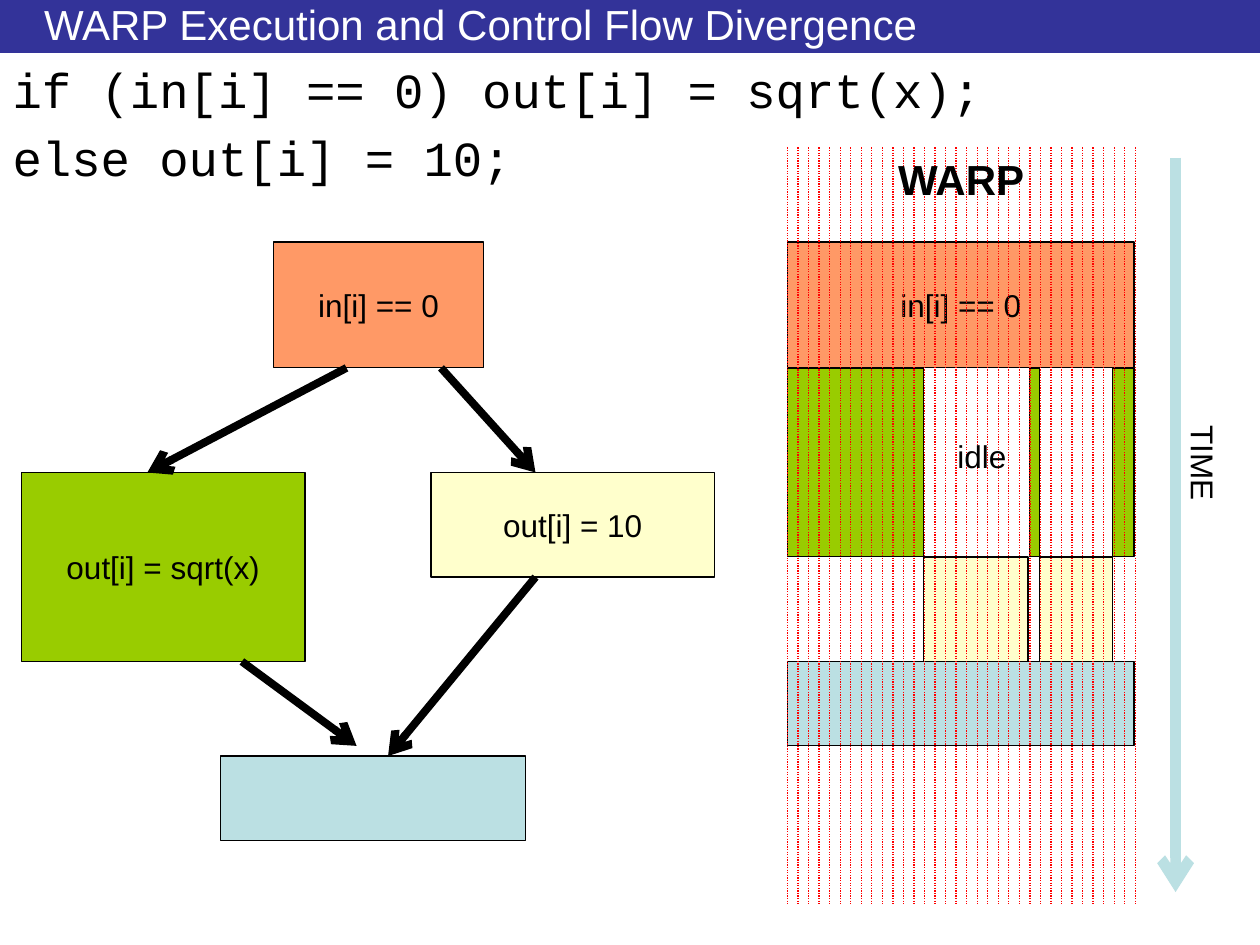
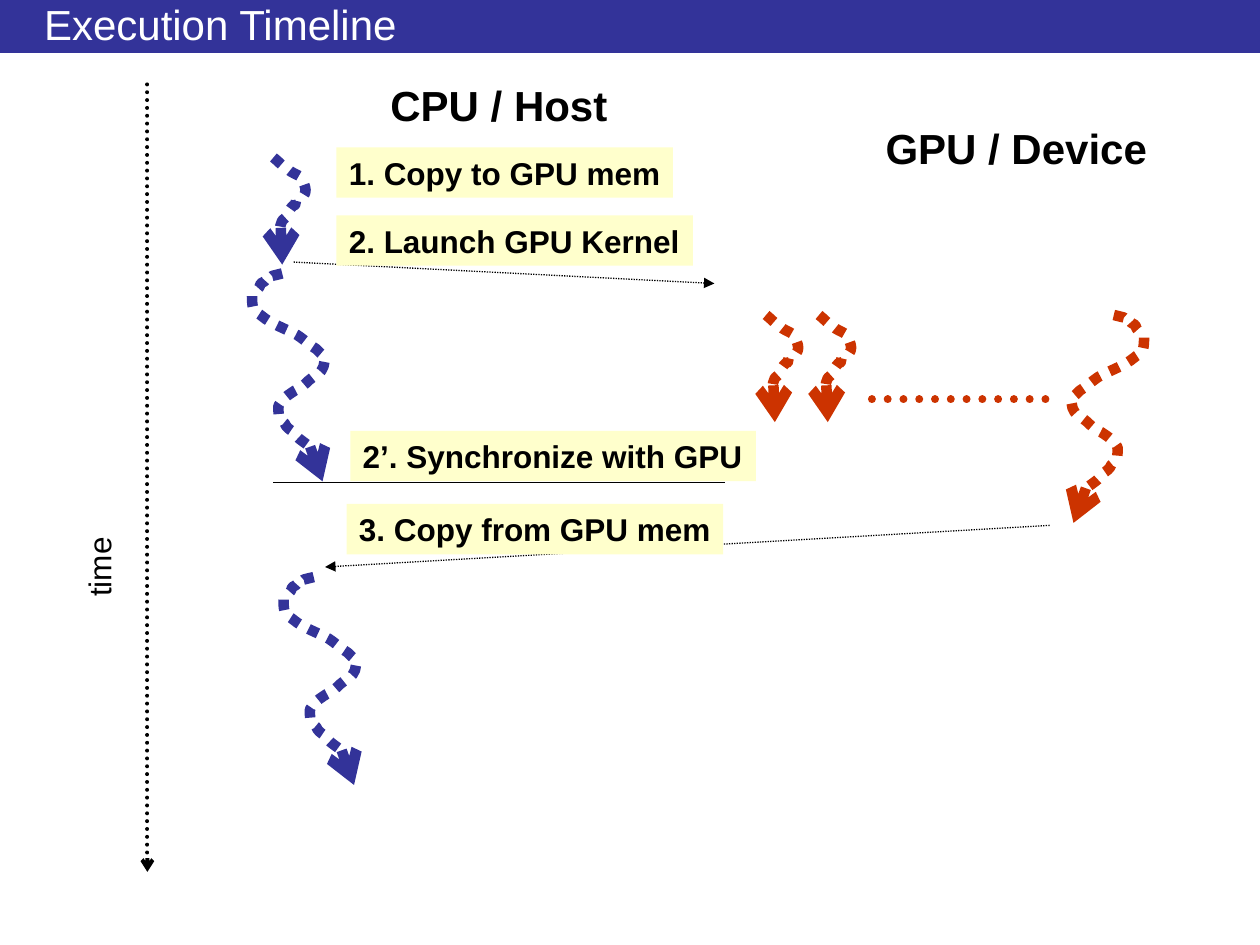
from lxml.etree import SubElement
from pptx import Presentation
from pptx.dml.color import RGBColor
from pptx.enum.dml import MSO_LINE
from pptx.enum.shapes import MSO_CONNECTOR, MSO_SHAPE
from pptx.enum.text import MSO_ANCHOR, MSO_AUTO_SIZE, PP_ALIGN
from pptx.oxml.ns import qn
from pptx.util import Inches, Pt

NAVY = RGBColor(0x33, 0x33, 0x99)
WHITE = RGBColor(0xFF, 0xFF, 0xFF)
BLACK = RGBColor(0, 0, 0)
ORANGE = RGBColor(0xFF, 0x99, 0x66)
GREEN = RGBColor(0x99, 0xCC, 0x00)
CREAM = RGBColor(0xFF, 0xFF, 0xCC)
ICE = RGBColor(0xBB, 0xE0, 0xE3)
RED = RGBColor(0xFF, 0, 0)
RUST = RGBColor(0xCC, 0x33, 0x00)
SANS, MONO = "Arial", "Courier New"

CODE = ["if (in[i] == 0) out[i] = sqrt(x);", "else out[i] = 10;"]

# (left, top, width, height), fill, text
FLOW_BOXES = [
    ((2.17, 1.92, 1.67, 1), ORANGE, "in[i] == 0"),
    ((0.17, 3.75, 2.25, 1.5), GREEN, "out[i] = sqrt(x)"),
    ((3.42, 3.75, 2.25, 0.83), CREAM, "out[i] = 10"),
    ((1.75, 6, 2.42, 0.67), ICE, ""),
]
FLOW_ARROWS = [
    ((2.75, 2.92), (1.17, 3.75)),
    ((3.5, 2.92), (4.25, 3.75)),
    ((1.92, 5.25), (2.83, 5.92)),
    ((4.25, 4.58), (3.08, 6)),
]

# Each row of the warp: top, height, fill, text, spans of (left, right)
WARP_LEFT, WARP_RIGHT = 6.25, 9
WARP_ROWS = [
    (1.92, 1, ORANGE, "in[i] == 0", [(WARP_LEFT, WARP_RIGHT)]),
    (2.92, 1.5, GREEN, "", [(WARP_LEFT, 7.33), (8.17, 8.25), (8.83, WARP_RIGHT)]),
    (4.42, 0.83, CREAM, "", [(7.33, 8.16), (8.25, 8.83)]),
    (5.25, 0.67, ICE, "", [(WARP_LEFT, WARP_RIGHT)]),
]
THREAD_COUNT, THREADS_END = 34, 9.01

# Box, text, size, bold, rotation, fill
WARP_LABELS = [
    ((7.5, 3.42, 0.59, 0.4), "idle", 18, False, 0, None),
    ((7.03, 1.17, 1.22, 0.5), "WARP", 24, True, 0, None),
    ((9.15, 3.48, 0.8, 0.4), "TIME", 18, False, 90, None),
]
TIMELINE_LABELS = [
    ((0.45, 4.3, 0.67, 0.4), "time", 18, False, 270, None),
    ((3, 0.58, 1.92, 0.5), "CPU / Host", 24, True, 0, None),
    ((6.93, 0.92, 2.28, 0.5), "GPU / Device", 24, True, 0, None),
    ((2.67, 1.17, 2.67, 0.4), "1. Copy to GPU mem", 18, True, 0, CREAM),
    ((2.67, 1.71, 2.83, 0.4), "2. Launch GPU Kernel", 18, True, 0, CREAM),
    ((2.78, 3.42, 3.22, 0.4), "2’. Synchronize with GPU", 18, True, 0, CREAM),
    ((2.75, 4, 2.99, 0.4), "3. Copy from GPU mem", 18, True, 0, CREAM),
]

# Bézier points from the top left of each squiggle: a start, then three per curve
SHORT_THREAD = [
    (0, 0),
    (0.04, 0.03), (0.07, 0.07), (0.11, 0.09),
    (0.14, 0.12), (0.18, 0.13), (0.21, 0.15),
    (0.26, 0.23), (0.29, 0.3), (0.18, 0.34),
    (0.16, 0.42), (0.19, 0.34), (0.14, 0.4),
    (0.06, 0.51), (0.14, 0.44), (0.07, 0.5),
    (0.04, 0.58), (0.07, 0.77), (0.07, 0.85),
]
LONG_THREAD = [
    (0.24, 0),
    (0.21, 0.01), (0.19, 0.01), (0.16, 0.02),
    (0.12, 0.05), (0.2, 0.02), (0.12, 0.04),
    (0.11, 0.06), (0.09, 0.07), (0.07, 0.08),
    (0.06, 0.1), (0.06, 0.12), (0.04, 0.13),
    (0.03, 0.14), (0.01, 0.15), (0, 0.17),
    (0, 0.21), (0, 0.24), (0.01, 0.28),
    (0.01, 0.3), (0.06, 0.32), (0.08, 0.34),
    (0.15, 0.4), (0.27, 0.44), (0.36, 0.49),
    (0.42, 0.53), (0.46, 0.57), (0.51, 0.6),
    (0.52, 0.61), (0.53, 0.62), (0.54, 0.63),
    (0.55, 0.64), (0.58, 0.66), (0.58, 0.66),
    (0.57, 0.72), (0.58, 0.76), (0.51, 0.81),
    (0.49, 0.82), (0.47, 0.83), (0.45, 0.85),
    (0.42, 0.88), (0.4, 0.9), (0.34, 0.93),
    (0.31, 0.95), (0.26, 0.98), (0.24, 1.01),
    (0.23, 1.02), (0.21, 1.05), (0.21, 1.05),
    (0.21, 1.09), (0.2, 1.15), (0.26, 1.19),
    (0.27, 1.22), (0.3, 1.24), (0.33, 1.26),
    (0.35, 1.3), (0.4, 1.33), (0.44, 1.36),
    (0.47, 1.38), (0.47, 1.4), (0.48, 1.42),
    (0.5, 1.43), (0.51, 1.43), (0.52, 1.45),
    (0.52, 1.46), (0.56, 1.63), (0.56, 1.65),
]
MIRRORED_THREAD = [(0.58 - x, y) for x, y in LONG_THREAD]
THREADS = [
    (SHORT_THREAD, 2.17, 1.25, NAVY),
    (LONG_THREAD, 2, 2.17, NAVY),
    (LONG_THREAD, 2.25, 4.58, NAVY),
    (SHORT_THREAD, 6.08, 2.5, RUST),
    (SHORT_THREAD, 6.5, 2.5, RUST),
    (MIRRORED_THREAD, 8.5, 2.5, RUST),
]


def add_run(p, text, size, color=BLACK, font=SANS, bold=False):
    r = p.add_run()
    r.text = text
    r.font.name, r.font.size, r.font.bold = font, Pt(size), bold
    r.font.color.rgb = color


def place(s, box):
    s.left, s.top, s.width, s.height = map(Inches, box)


def style_line(s, color, width, dotted=False, tail=None, round_cap=False):
    s.line.color.rgb = color
    s.line.width = Pt(width)
    if dotted:
        s.line.dash_style = MSO_LINE.ROUND_DOT
    ln = s.element.spPr.find(qn("a:ln"))
    if round_cap:
        ln.set("cap", "rnd")
    if tail:
        SubElement(ln, qn("a:tailEnd"), type=tail)


def add_line(slide, start, end, color, width, **style):
    s = slide.shapes.add_connector(
        MSO_CONNECTOR.STRAIGHT, *map(Inches, (*start, *end)))
    style_line(s, color, width, **style)
    SubElement(s.element.spPr, qn("a:effectLst"))


def add_box(slide, box, fill, text="", outlined=True):
    s = slide.shapes.add_shape(MSO_SHAPE.RECTANGLE, *map(Inches, box))
    s.shadow.inherit = False
    s.fill.solid()
    s.fill.fore_color.rgb = fill
    if outlined:
        style_line(s, BLACK, 0.75)
    else:
        s.line.fill.background()
    if text:
        tf = s.text_frame
        tf.word_wrap = False
        tf.vertical_anchor = MSO_ANCHOR.MIDDLE
        p = tf.paragraphs[0]
        p.alignment = PP_ALIGN.CENTER
        add_run(p, text, 18)
    return s


def add_label(slide, box, text, size, bold, rotation, fill):
    s = slide.shapes.add_textbox(*map(Inches, box))
    s.rotation = rotation
    if fill is not None:
        s.fill.solid()
        s.fill.fore_color.rgb = fill
    tf = s.text_frame
    tf.word_wrap = False
    tf.auto_size = MSO_AUTO_SIZE.SHAPE_TO_FIT_TEXT
    add_run(tf.paragraphs[0], text, size, bold=bold)


def add_thread(slide, points, left, top, color):
    """Draw a dotted squiggle, turning each three vertices into one Bézier curve."""
    start, *rest = [(Inches(left + x), Inches(top + y)) for x, y in points]
    builder = slide.shapes.build_freeform(*start)
    builder.add_line_segments(rest, close=False)
    s = builder.convert_to_shape()
    outline = next(s.element.iter(qn("a:path")))
    steps = outline.findall(qn("a:lnTo"))
    for trio in zip(steps[::3], steps[1::3], steps[2::3]):
        curve = SubElement(outline, qn("a:cubicBezTo"))
        for step in trio:
            curve.append(step[0])
            outline.remove(step)
    s.shadow.inherit = False
    s.fill.background()
    style_line(s, color, 6, dotted=True, tail="arrow")


def add_titled_slide(prs, layout, title):
    slide = prs.slides.add_slide(prs.slide_layouts.get_by_name(layout))
    s = slide.shapes.title
    place(s, (0.25, 0.05, 9.25, 0.28))
    tf = s.text_frame
    tf.auto_size = MSO_AUTO_SIZE.NONE
    tf.vertical_anchor = MSO_ANCHOR.MIDDLE
    p = tf.paragraphs[0]
    p.alignment = PP_ALIGN.LEFT
    add_run(p, title, 24, WHITE)
    return slide


def add_master_band(prs, slide):
    """Draw the title band and move it to the back of the slide master."""
    band = add_box(slide, (0, 0, 10, 0.42), NAVY, outlined=False)
    prs.slide_master.shapes.element.insert(2, band.element)


def fill_code(body):
    place(body, (0, 0.42, 10, 7.08))
    tf = body.text_frame
    tf.auto_size = MSO_AUTO_SIZE.NONE
    for i, line in enumerate(CODE):
        p = tf.add_paragraph() if i else tf.paragraphs[0]
        pPr = p._p.get_or_add_pPr()
        pPr.set("marL", str(Inches(0.38)))
        pPr.set("indent", str(Inches(-0.38)))
        SubElement(pPr, qn("a:buNone"))
        add_run(p, line, 28, font=MONO)


def build_divergence(prs):
    slide = add_titled_slide(prs, "Title and Content",
                             "WARP Execution and Control Flow Divergence")
    add_master_band(prs, slide)
    fill_code(slide.placeholders[1])
    for box, fill, text in FLOW_BOXES:
        add_box(slide, box, fill, text)
    for start, end in FLOW_ARROWS:
        add_line(slide, start, end, BLACK, 4.5, tail="arrow")
    for top, height, fill, text, spans in WARP_ROWS:
        for left, right in spans:
            add_box(slide, (left, top, right - left, height), fill, text)
    step = (THREADS_END - WARP_LEFT) / (THREAD_COUNT - 1)
    for i in range(THREAD_COUNT):
        x = WARP_LEFT + i * step
        add_line(slide, (x, 1.17), (x, 7.17), RED, 0.75, dotted=True)
    add_line(slide, (9.33, 1.25), (9.33, 7.08), ICE, 6, tail="arrow")
    for label in WARP_LABELS:
        add_label(slide, *label)


def build_timeline(prs):
    slide = add_titled_slide(prs, "Title Only", "Execution Timeline")
    add_line(slide, (1.17, 0.67), (1.17, 6.92), BLACK, 2.25,
             dotted=True, tail="arrow", round_cap=True)
    for thread in THREADS:
        add_thread(slide, *thread)
    add_line(slide, (6.92, 3.17), (8.33, 3.17), RUST, 4.5, dotted=True, round_cap=True)
    for start, end in [((2.33, 2.08), (5.67, 2.25)), ((8.33, 4.17), (2.58, 4.5))]:
        add_line(slide, start, end, BLACK, 0.75, dotted=True, tail="triangle")
    add_line(slide, (2.17, 3.83), (5.75, 3.83), BLACK, 0.75)
    for label in TIMELINE_LABELS:
        add_label(slide, *label)


def main():
    prs = Presentation()
    prs.slide_width, prs.slide_height = Inches(10), Inches(7.5)
    build_divergence(prs)
    build_timeline(prs)
    prs.save("out.pptx")


if __name__ == "__main__":
    main()
